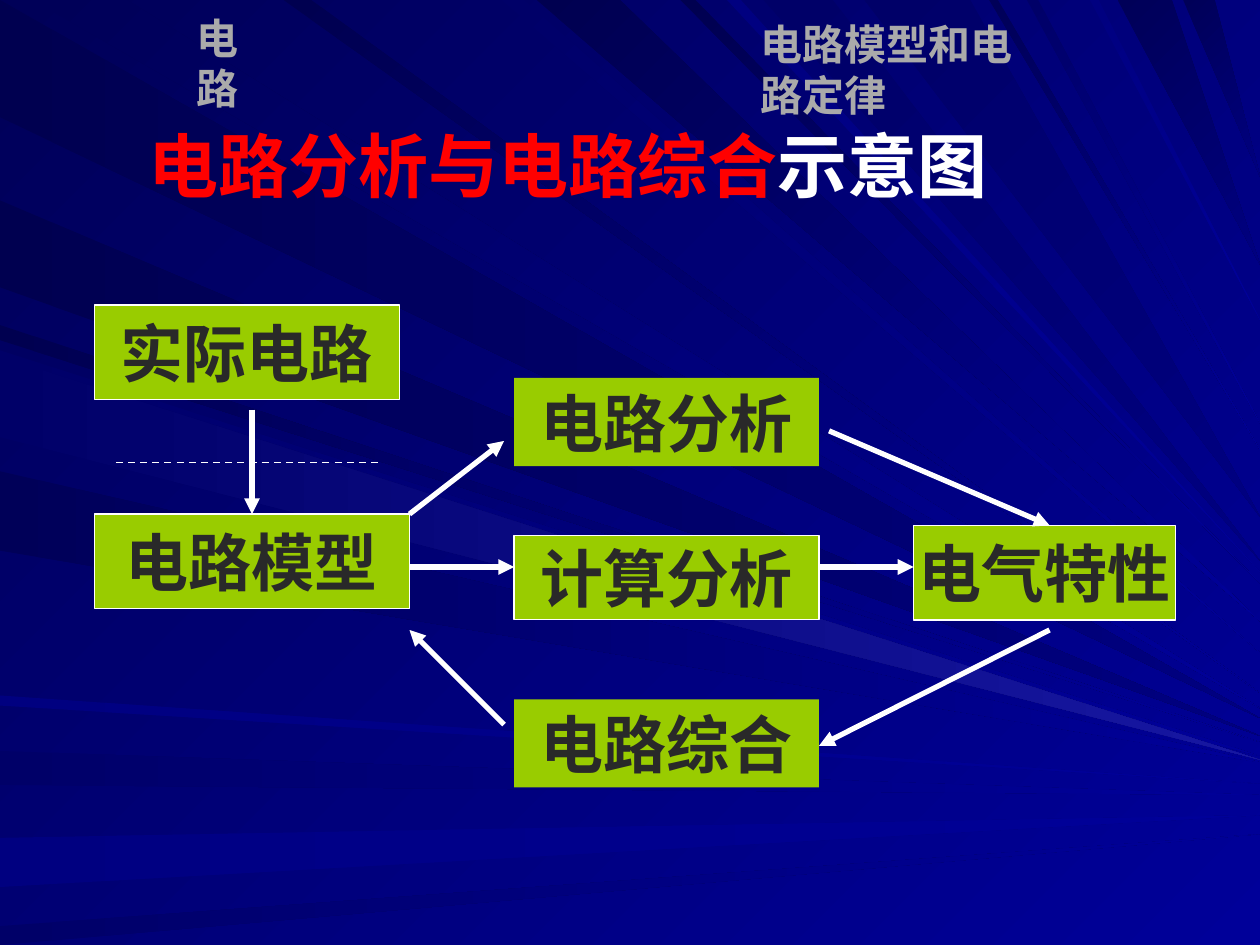
"""Build a slide with a flow diagram of circuit analysis and synthesis."""
from lxml import etree
from pptx import Presentation
from pptx.dml.color import RGBColor
from pptx.enum.dml import MSO_LINE
from pptx.enum.shapes import MSO_CONNECTOR, MSO_SHAPE
from pptx.enum.text import MSO_ANCHOR, PP_ALIGN
from pptx.oxml.ns import qn
from pptx.util import Inches, Pt

RECT, STRAIGHT, DASH = MSO_SHAPE.RECTANGLE, MSO_CONNECTOR.STRAIGHT, MSO_LINE.DASH
TOP, MIDDLE = MSO_ANCHOR.TOP, MSO_ANCHOR.MIDDLE
LEFT, CENTER = PP_ALIGN.LEFT, PP_ALIGN.CENTER
FONT = "Noto Sans CJK SC"
WHITE = RGBColor(0xFF, 0xFF, 0xFF)
RED = RGBColor(0xFF, 0x00, 0x00)
GRAY = RGBColor(0xAA, 0xAA, 0xAA)
DARK = RGBColor(0x29, 0x29, 0x29)
GREEN = RGBColor(0x99, 0xCC, 0x00)
MIDNIGHT = RGBColor(0x00, 0x00, 0x58)
SHADOWED = RGBColor(0x00, 0x00, 0x50)
DEEP = RGBColor(0x00, 0x00, 0x68)
NAVY = RGBColor(0x00, 0x00, 0x80)
BLUE = RGBColor(0x00, 0x00, 0x99)
GLOW = RGBColor(0x17, 0x17, 0xA2)

WIDTH, HEIGHT = 10, 7.5
LEFT_RAYS = [
    (SHADOWED, NAVY, 0, 0.93, 5.7), (DEEP, BLUE, 5.96, 6.23, 6.31),
    (NAVY, BLUE, 6.65, 7.04, 6.47), (DEEP, BLUE, 7.35, 7.5, 6.62),
    (SHADOWED, BLUE, 2.58, 2.7, 5.89), (SHADOWED, NAVY, 1.59, 2.28, 5.84),
    (DEEP, BLUE, 2.78, 3.42, 6), (MIDNIGHT, BLUE, 3.74, 4.37, 6.05),
    (NAVY, BLUE, 5.52, 5.6, 6.22), (DEEP, GLOW, 2.83, 3.47, 6.03),
]
TOP_RAYS = [
    (MIDNIGHT, BLUE, 0.26, 1.01, 5.62), (DEEP, BLUE, 3.98, 4.16, 5.18),
    (SHADOWED, BLUE, 4.26, 4.92, 4.93), (SHADOWED, BLUE, 5.4, 5.52, 4.63),
    (DEEP, NAVY, 6.06, 6.61, 4.45), (MIDNIGHT, NAVY, 8.87, 9.3, 2.1),
    (MIDNIGHT, NAVY, 9.39, 9.64, 1.4), (SHADOWED, BLUE, 2.25, 2.47, 5.5),
    (NAVY, BLUE, 5.77, 5.88, 4.54), (DEEP, NAVY, 6.86, 7.7, 4.1),
    (MIDNIGHT, BLUE, 7.85, 7.92, 3.57), (DEEP, BLUE, 8.15, 8.24, 3.36),
    (NAVY, BLUE, 8.65, 8.72, 2.54),
]
HEADINGS = [
    ((1.46, 0.05, 0.69, 0.34), [("电路", GRAY)], 24, TOP, False),
    ((5.94, 0.1, 2.52, 0.34), [("电路模型和电路定律", GRAY)], 24, TOP, False),
    ((1.08, 0.92, 7.75, 0.77), [("电路分析与电路综合", RED), ("示意图", WHITE)], 40, MIDDLE, True),
]
BOXES = [
    ("实际电路", (0.75, 2.42, 2.42, 0.75), True),
    ("电路模型", (0.75, 4.08, 2.5, 0.75), True),
    ("计算分析", (4.08, 4.25, 2.42, 0.67), True),
    ("电气特性", (7.25, 4.17, 2.08, 0.75), True),
    ("电路分析", (4.08, 3, 2.42, 0.7), False),
    ("电路综合", (4.08, 5.55, 2.42, 0.7), False),
]
ARROWS = [
    (3.25, 4.5, 4.08, 4.5), (6.5, 4.5, 7.25, 4.5), (2, 3.25, 2, 4.08),
    (3.25, 4.08, 4, 3.5), (6.58, 3.42, 8.33, 4.17),
    (8.33, 5, 6.5, 5.92), (4, 5.75, 3.25, 5),
]
DIVIDER = (0.92, 3.67, 3, 3.67)


def inches(values):
    return [Inches(v) for v in values]


def paint(fill, first, last, angle):
    if first == last:
        fill.solid()
        fill.fore_color.rgb = first
        return
    fill.gradient()
    fill.gradient_angle = -angle % 360
    for stop, color in zip(fill.gradient_stops, (first, last)):
        stop.color.rgb = color


def add_ray(slide, first, last, angle, points):
    start, *rest = [inches(pt) for pt in points]
    builder = slide.shapes.build_freeform(*start, scale=1.0)
    builder.add_line_segments(rest, close=True)
    sp = builder.convert_to_shape()
    sp.shadow.inherit = False
    sp.line.fill.background()
    paint(sp.fill, first, last, angle)


def write(sp, parts, size, anchor, align, wrap):
    tf = sp.text_frame
    tf.word_wrap = wrap
    tf.vertical_anchor = anchor
    p = tf.paragraphs[0]
    p.alignment = align
    for text, color in parts:
        r = p.add_run()
        r.text = text
        r.font.size, r.font.bold, r.font.name = Pt(size), True, FONT
        r.font.color.rgb = color
        etree.SubElement(r.font._element, qn("a:ea"), typeface=FONT)


def add_box(slide, text, place, outlined):
    sp = slide.shapes.add_shape(RECT, *inches(place))
    sp.shadow.inherit = False
    paint(sp.fill, GREEN, GREEN, 0)
    if outlined:
        sp.line.color.rgb = WHITE
        sp.line.width = Pt(0.75)
    else:
        sp.line.fill.background()
    write(sp, [(text, DARK)], 36, MIDDLE, CENTER, False)


def add_line(slide, ends, width):
    cxn = slide.shapes.add_connector(STRAIGHT, *inches(ends))
    cxn.line.color.rgb = WHITE
    cxn.line.width = Pt(width)
    etree.SubElement(cxn._element.spPr, qn("a:effectLst"))
    return cxn.line


def main():
    prs = Presentation()
    prs.slide_width, prs.slide_height = inches((WIDTH, HEIGHT))
    slide = prs.slides.add_slide(prs.slide_layouts[6])
    paint(slide.background.fill, MIDNIGHT, BLUE, 45)
    for first, last, start, end, tip in TOP_RAYS:
        add_ray(slide, first, last, 45, [(start, 0), (end, 0), (WIDTH, tip)])
    for first, last, start, end, tip in LEFT_RAYS:
        add_ray(slide, first, last, 0, [(0, start), (0, end), (WIDTH, tip)])
    for place, parts, size, anchor, wrap in HEADINGS:
        sp = slide.shapes.add_textbox(*inches(place))
        write(sp, parts, size, anchor, LEFT, wrap)
    for box in BOXES:
        add_box(slide, *box)
    for ends in ARROWS:
        line = add_line(slide, ends, 3)
        etree.SubElement(line._get_or_add_ln(), qn("a:tailEnd"), type="triangle")
    add_line(slide, DIVIDER, 1).dash_style = DASH
    prs.save("out.pptx")


if __name__ == "__main__":
    main()
